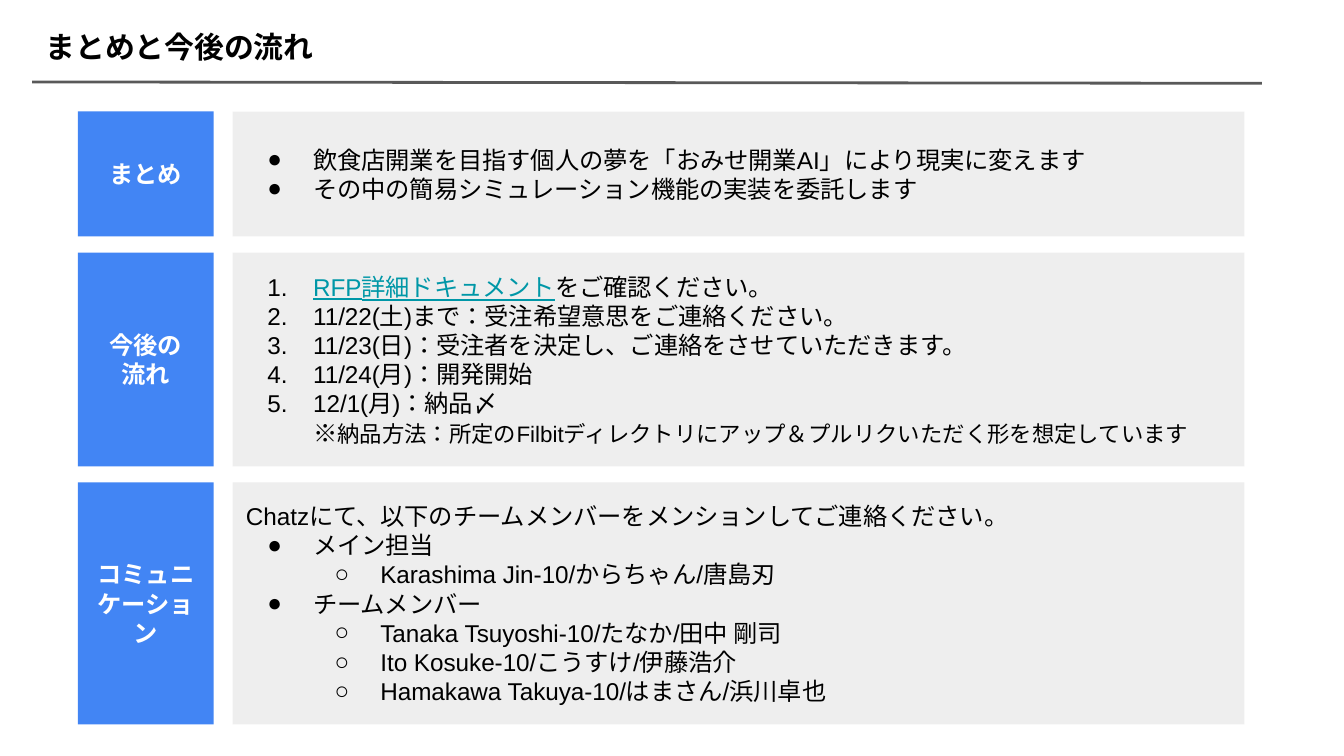
from lxml.etree import SubElement
from pptx import Presentation
from pptx.dml.color import RGBColor
from pptx.enum.lang import MSO_LANGUAGE_ID
from pptx.enum.shapes import MSO_CONNECTOR, MSO_SHAPE
from pptx.enum.text import MSO_ANCHOR, MSO_AUTO_SIZE, PP_ALIGN
from pptx.oxml.ns import qn
from pptx.util import Inches, Pt

BLACK = RGBColor(0x00, 0x00, 0x00)
WHITE = RGBColor(0xFF, 0xFF, 0xFF)
BLUE = RGBColor(0x42, 0x85, 0xF4)
PALE_GRAY = RGBColor(0xEE, 0xEE, 0xEE)
RULE_GRAY = RGBColor(0x59, 0x59, 0x59)
TEAL = RGBColor(0x00, 0x97, 0xA7)

FONT = "Arial"
TEXT_SIZE = 13
NOTE_SIZE = 12
COMPARISON_LAYOUT = 4
FIRST_TOP = 0.83
ROW_GAP = 0.12

PLAIN, BULLET, SUB_BULLET, NUMBER = "plain", "bullet", "sub_bullet", "number"
BULLET_TAGS = {
    PLAIN: ("a:buNone", {}),
    BULLET: ("a:buChar", {"char": "●"}),
    SUB_BULLET: ("a:buChar", {"char": "○"}),
    NUMBER: ("a:buAutoNum", {"type": "arabicPeriod"}),
}

SECTIONS = [
    ("まとめ", 0.93, [
        (BULLET, "飲食店開業を目指す個人の夢を「おみせ開業AI」により現実に変えます"),
        (BULLET, "その中の簡易シミュレーション機能の実装を委託します"),
    ]),
    ("今後の\n流れ", 1.59, [
        (NUMBER, "RFP詳細ドキュメント", "をご確認ください。"),
        (NUMBER, "11/22(土)まで：受注希望意思をご連絡ください。"),
        (NUMBER, "11/23(日)：受注者を決定し、ご連絡をさせていただきます。"),
        (NUMBER, "11/24(月)：開発開始"),
        (NUMBER, "12/1(月)：納品〆\v※",
         "納品方法：所定のFilbitディレクトリにアップ＆プルリクいただく形を想定しています"),
    ]),
    ("コミュニケーション", 1.8, [
        (PLAIN, "Chatzにて、以下のチームメンバーをメンションしてご連絡ください。"),
        (BULLET, "メイン担当"),
        (SUB_BULLET, "Karashima Jin-10/からちゃん/唐島刃"),
        (BULLET, "チームメンバー"),
        (SUB_BULLET, "Tanaka Tsuyoshi-10/たなか/田中 剛司"),
        (SUB_BULLET, "Ito Kosuke-10/こうすけ/伊藤浩介"),
        (SUB_BULLET, "Hamakawa Takuya-10/はまさん/浜川卓也"),
    ]),
]


def place(shape, left, top, width, height):
    shape.left, shape.top = Inches(left), Inches(top)
    shape.width, shape.height = Inches(width), Inches(height)


def set_fill(shape, color):
    shape.fill.solid()
    shape.fill.fore_color.rgb = color


def set_frame(text_frame):
    text_frame.word_wrap = True
    text_frame.auto_size = MSO_AUTO_SIZE.NONE
    text_frame.vertical_anchor = MSO_ANCHOR.MIDDLE
    text_frame.margin_left = text_frame.margin_right = Inches(0.1)
    text_frame.margin_top = text_frame.margin_bottom = Inches(0.1)


def format_runs(paragraph, color, size=TEXT_SIZE, bold=False):
    for run in paragraph.runs:
        run.font.name = FONT
        run.font.size = Pt(size)
        run.font.bold = bold
        run.font.color.rgb = color
        run.font.language_id = MSO_LANGUAGE_ID.JAPANESE
    for line_break in paragraph._p.findall(qn("a:br")):
        SubElement(line_break, qn("a:rPr"), sz=str(size * 100))


def set_bullet(paragraph, kind):
    paragraph.level = 1 if kind == SUB_BULLET else 0
    properties = paragraph._p.get_or_add_pPr()
    margin = {PLAIN: 0, SUB_BULLET: 1}.get(kind, 0.5)
    properties.set("marL", str(Inches(margin)))
    properties.set("indent", str(Inches(0 if kind == PLAIN else -0.34)))
    if kind != PLAIN:
        bullet_color = SubElement(properties, qn("a:buClr"))
        SubElement(bullet_color, qn("a:srgbClr"), val=str(BLACK))
        SubElement(properties, qn("a:buFont"), typeface=FONT)
    tag, attributes = BULLET_TAGS[kind]
    SubElement(properties, qn(tag), attributes)


def add_title(slide, text):
    title = slide.shapes.title
    place(title, 0.24, 0.15, 6.88, 0.39)
    set_fill(title, WHITE)
    title.text_frame.text = text
    set_frame(title.text_frame)
    paragraph = title.text_frame.paragraphs[0]
    paragraph.alignment = PP_ALIGN.LEFT
    format_runs(paragraph, BLACK, 16, True)


def add_rule(slide):
    rule = slide.shapes.add_connector(
        MSO_CONNECTOR.STRAIGHT, Inches(0.24), Inches(0.61), Inches(9.39), Inches(0.62))
    rule.line.color.rgb = RULE_GRAY
    rule.line.width = Pt(1.5)
    SubElement(rule._element.spPr, qn("a:effectLst"))


def add_label(slide, text, top, height):
    label = slide.shapes.add_shape(
        MSO_SHAPE.RECTANGLE, Inches(0.58), Inches(top), Inches(1.01), Inches(height))
    label.shadow.inherit = False
    set_fill(label, BLUE)
    label.line.fill.background()
    label.text_frame.text = text
    set_frame(label.text_frame)
    for paragraph in label.text_frame.paragraphs:
        paragraph.alignment = PP_ALIGN.CENTER
        format_runs(paragraph, WHITE, bold=True)


def fill_list(body, items, top, height):
    place(body, 1.73, top, 7.53, height)
    set_fill(body, PALE_GRAY)
    text_frame = body.text_frame
    set_frame(text_frame)
    for index, (kind, *parts) in enumerate(items):
        paragraph = text_frame.add_paragraph() if index else text_frame.paragraphs[0]
        paragraph.text = parts[0]
        for part in parts[1:]:
            paragraph.add_run().text = part
        set_bullet(paragraph, kind)
        paragraph.space_before = Pt(0)
        format_runs(paragraph, BLACK)
    return text_frame.paragraphs


def main():
    presentation = Presentation()
    presentation.slide_width = Inches(10)
    presentation.slide_height = Inches(10) * 9 // 16
    slide = presentation.slides.add_slide(presentation.slide_layouts[COMPARISON_LAYOUT])
    add_title(slide, "まとめと今後の流れ")
    add_rule(slide)

    bodies = list(slide.placeholders)[1:]
    lists = []
    top = FIRST_TOP
    for body, (label, height, items) in zip(bodies, SECTIONS):
        add_label(slide, label, top, height)
        lists.append(fill_list(body, items, top, height))
        top += height + ROW_GAP
    for body in bodies[len(SECTIONS):]:
        body._element.getparent().remove(body._element)

    schedule = lists[1]
    document_font = schedule[0].runs[0].font
    document_font.color.rgb = TEAL
    document_font.underline = True
    schedule[-1].runs[-1].font.size = Pt(NOTE_SIZE)

    presentation.save("out.pptx")


if __name__ == "__main__":
    main()
